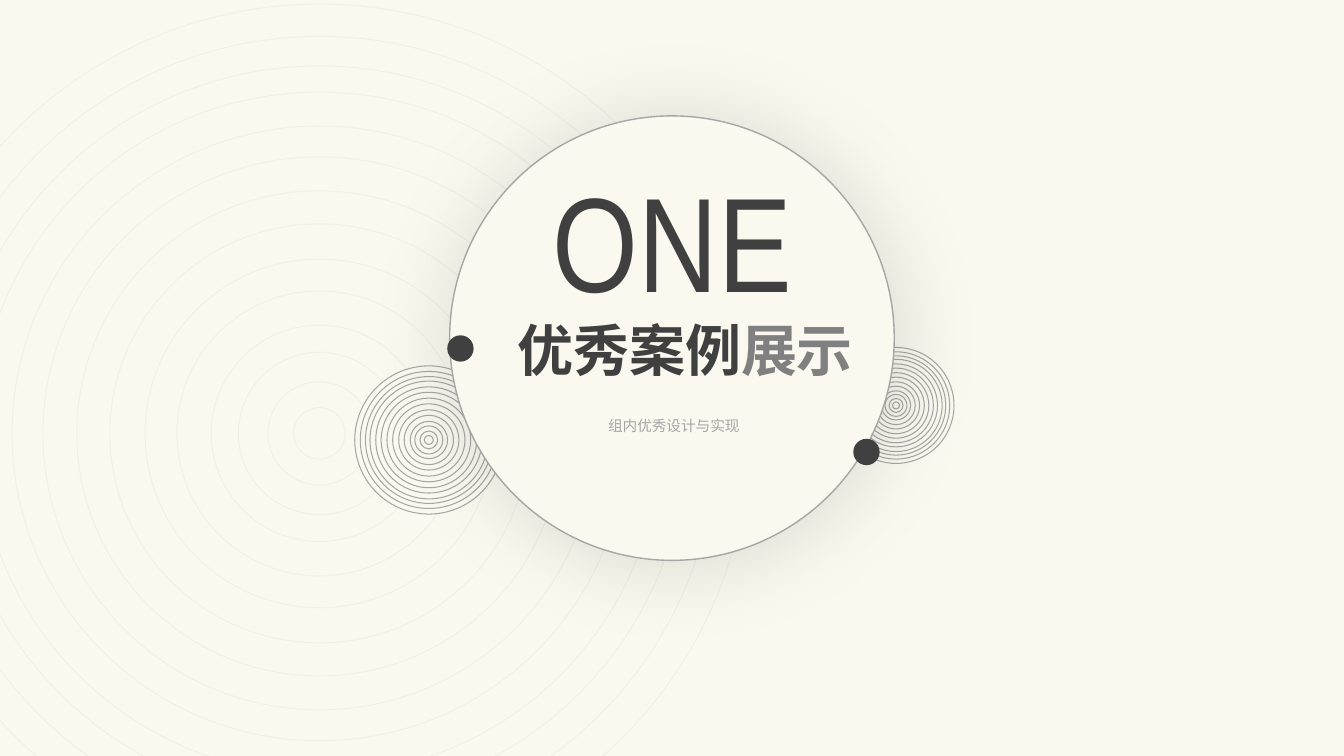
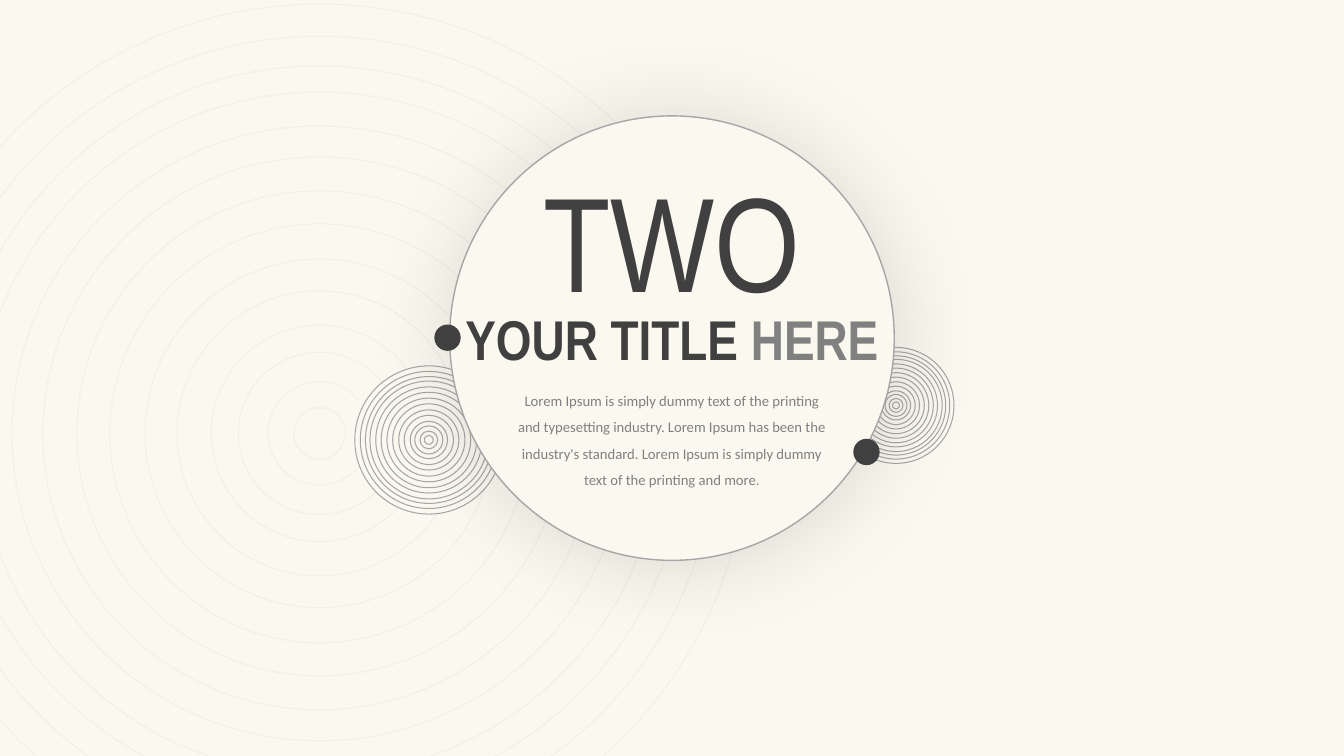
from lxml import etree
from pptx import Presentation
from pptx import util as u
from pptx.dml.color import RGBColor
from pptx.enum import shapes, text
from pptx.oxml.ns import qn

CREAM = RGBColor(0xFB, 0xF8, 0xEF)
DARK = RGBColor(0x40, 0x40, 0x40)
GREY = RGBColor(0x80, 0x80, 0x80)
SILVER = RGBColor(0xA6, 0xA6, 0xA6)
HEAD_FONT, BODY_FONT = "Arial Narrow", "Calibri"

prs = Presentation()
prs.slide_width, prs.slide_height = u.Inches(13.33), u.Inches(7.5)
COL, ROW = prs.slide_width / 100, prs.slide_height / 100  # one percent of the slide

# Ring diameters in percent of the outermost ring
RING_SHARES = [100, 92.5, 85.6, 79.5, 71.6, 64.4, 56.5,
               48.8, 40.6, 33.2, 25.2, 18.9, 12, 6]
# Centre column, centre row, outer diameter in columns, line opacity in percent
RING_SETS = [(23.77, 57.33, 63.9, 10), (66.67, 53.63, 8.63, 100), (31.91, 58.2, 11.03, 100)]
DISC = (50, 44.73, 33.08)
DOT_SIZE = 1.96
RIGHT_DOT = (64.47, 59.79)

# Per slide: number, left dot, title place, title runs, body place, spacing, colour, body
SECTIONS = [
    ("ONE", (34.26, 46.1), (33.98, 41.07), ("优秀案例", "展示"),
     (37.5, 53.73, 25.28, 4.13), 1.3, SILVER, "组内优秀设计与实现"),
    ("TWO", (33.3, 44.67), (33, 39.6), ("YOUR TITLE ", "HERE"),
     (37.35, 50, 25.28, 15.47), 1.5, GREY,
     "Lorem Ipsum is simply dummy text of the printing and typesetting industry. "
     "Lorem Ipsum has been the industry's standard. Lorem Ipsum is simply dummy "
     "text of the printing and more."),
]


def add_circle(parent, cx, cy, size, fill=CREAM, line_width=None):
    """Centre a circle on column cx and row cy; size is in columns."""
    d = size * COL
    sp = parent.add_shape(shapes.MSO_SHAPE.OVAL, int(cx * COL - d / 2),
                          int(cy * ROW - d / 2), int(d), int(d))
    sp.shadow.inherit = False
    sp.fill.solid()
    sp.fill.fore_color.rgb = fill
    if line_width is None:
        sp.line.fill.background()
    else:
        sp.line.color.rgb = SILVER
        sp.line.width = u.Pt(line_width)
    return sp


def add_text(s, place, runs, size, font, bold=False, spacing=None):
    """Add one centred paragraph; runs are (wording, colour) pairs."""
    x, y, w, h = place
    sp = s.shapes.add_textbox(int(x * COL), int(y * ROW), int(w * COL), int(h * ROW))
    tf = sp.text_frame
    tf.word_wrap = True
    tf.auto_size = text.MSO_AUTO_SIZE.SHAPE_TO_FIT_TEXT
    p = tf.paragraphs[0]
    p.alignment = text.PP_ALIGN.CENTER
    p.line_spacing = spacing
    p.font.size, p.font.name, p.font.bold = u.Pt(size), font, bold
    for wording, colour in runs:
        r = p.add_run()
        r.text = wording
        r.font.color.rgb = colour


background = prs.slide_master.background.fill
background.solid()
background.fore_color.rgb = CREAM

for number, left_dot, title_at, title, body_place, spacing, body_colour, body in SECTIONS:
    s = prs.slides.add_slide(prs.slide_layouts[6])

    for cx, cy, outer, opacity in RING_SETS:
        group = s.shapes.add_group_shape()
        for share in RING_SHARES:
            ring = add_circle(group.shapes, cx, cy, outer * share / 100, line_width=0)
            if opacity < 100:
                colour = ring._element.spPr.xpath("a:ln//a:srgbClr")[0]
                etree.SubElement(colour, qn("a:alpha"), val=str(opacity * 1000))

    disc = add_circle(s.shapes, *DISC, line_width=1)
    effects = disc._element.spPr.find(qn("a:effectLst"))
    shadow = etree.SubElement(effects, qn("a:outerShdw"), blurRad=str(u.Pt(64)),
                              dist=str(u.Pt(3)), dir=str(45 * 60000),
                              algn="ctr", rotWithShape="0")
    black = etree.SubElement(shadow, qn("a:srgbClr"), val="000000")
    etree.SubElement(black, qn("a:alpha"), val="12000")

    for dot in (left_dot, RIGHT_DOT):
        add_circle(s.shapes, *dot, DOT_SIZE, fill=DARK)

    add_text(s, (39.3, 20.27, 21.45, 22.93), [(number, DARK)], 96, HEAD_FONT)
    add_text(s, (*title_at, 33.98, 10.27), zip(title, (DARK, GREY)), 40, HEAD_FONT, bold=True)
    add_text(s, body_place, [(body, body_colour)], 10.5, BODY_FONT, spacing=spacing)

prs.save("out.pptx")
